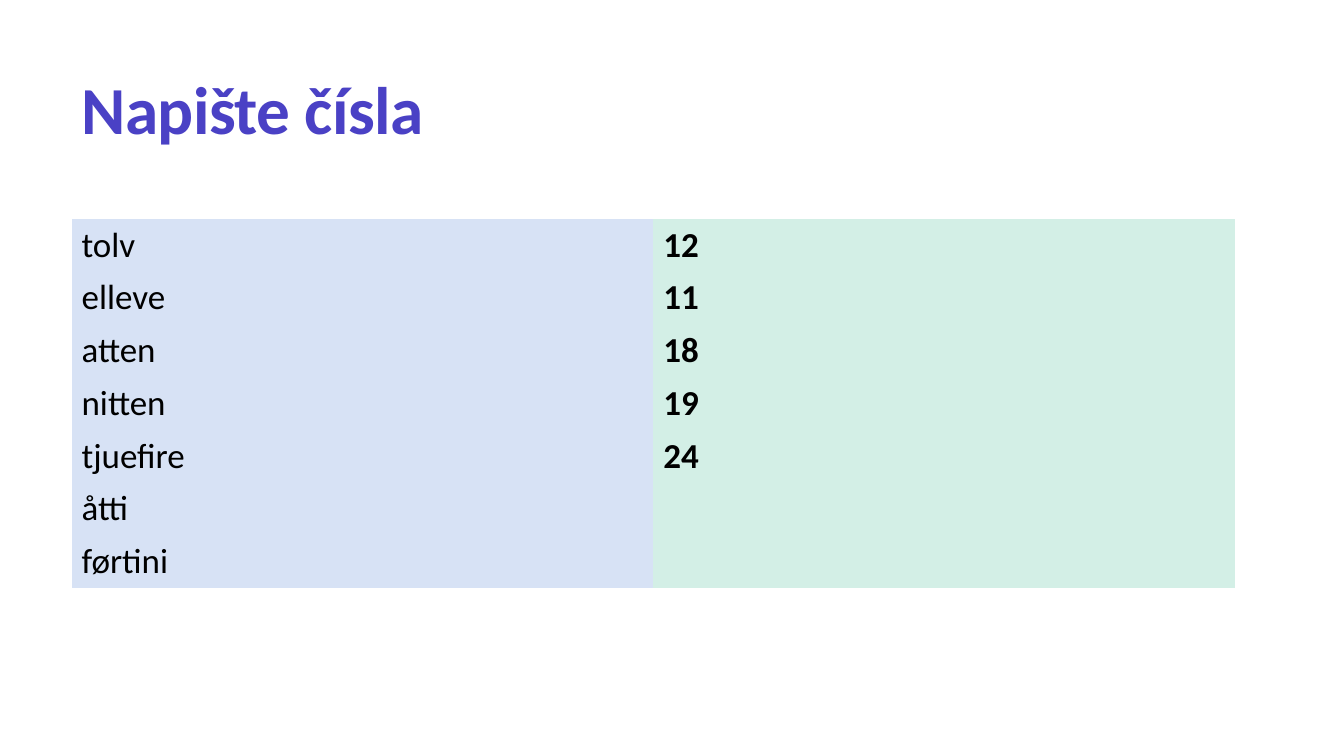
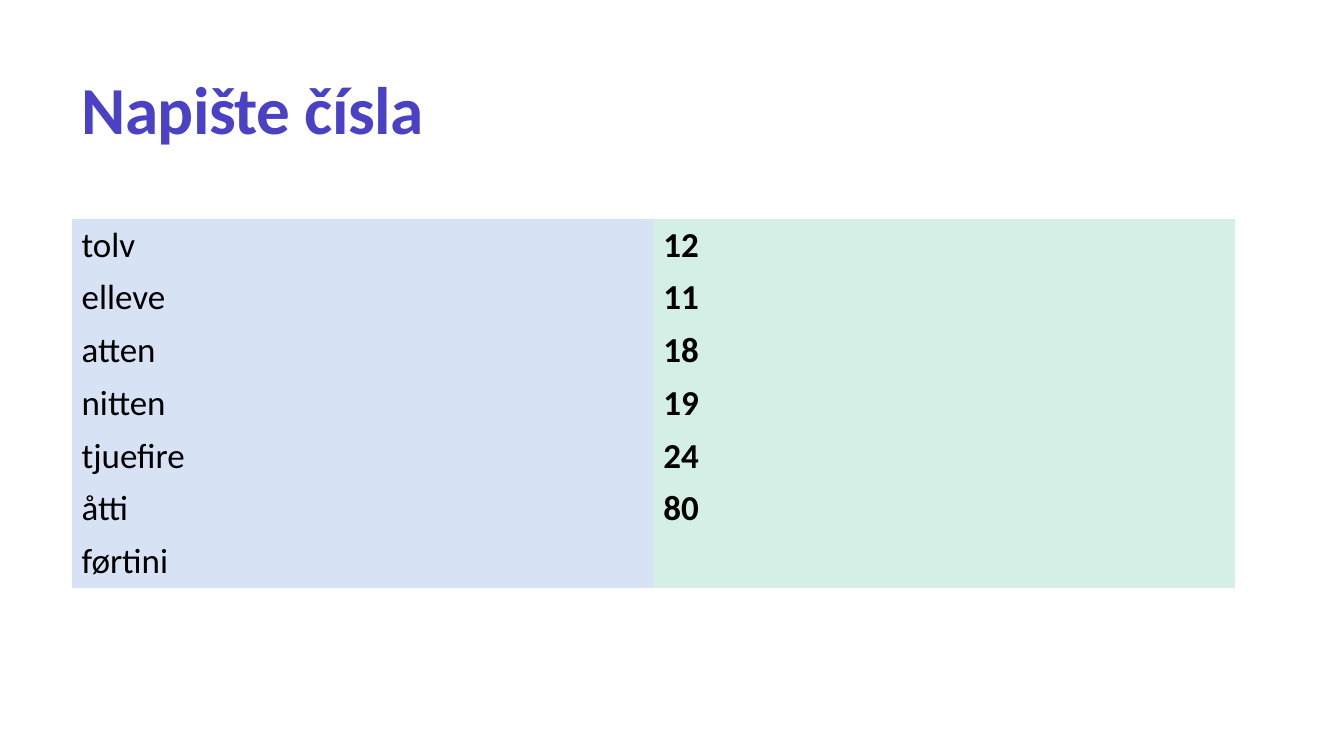
from dataclasses import dataclass
from typing import Any

from pptx import Presentation
from pptx import util as u
from pptx.dml.color import RGBColor
from pptx.enum import text
from pptx.oxml.ns import qn

PX = 9144  # EMU per px, 100 px to the inch

INDIGO = RGBColor(0x4A, 0x41, 0xC5)
BLACK = RGBColor(0x00, 0x00, 0x00)
PALE_BLUE = RGBColor(0xD7, 0xE2, 0xF5)
PALE_GREEN = RGBColor(0xD3, 0xEF, 0xE6)

FONT = "Calibri"
TITLE_FONT = {"name": FONT, "size": u.Pt(48), "bold": True}
WORD_FONT = {"name": FONT, "size": u.Pt(25), "bold": False}
NUMBER_FONT = WORD_FONT | {"bold": True}
TITLE_FRAME = {
    "vertical_anchor": text.MSO_ANCHOR.BOTTOM,
    "auto_size": text.MSO_AUTO_SIZE.NONE,
    "word_wrap": True,
}
PLAIN_TABLE_STYLE = "{2D5ABB26-0587-4C30-8999-92F81FD0307C}"

LEFT, WIDTH = 71, 1154
TITLE_TOP, TITLE_HEIGHT = 40, 113
TABLE_TOP, ROW_HEIGHT = 217, 52


@dataclass(frozen=True)
class Exercise:
    title: str
    words: tuple[str, ...]
    answers: tuple[str, ...]

    def rows(self) -> list[tuple[str, str]]:
        """Pair each word with its answer, leaving unsolved ones empty."""
        missing = len(self.words) - len(self.answers)
        return list(zip(self.words, self.answers + ("",) * missing))


WORDS = ("tolv", "elleve", "atten", "nitten", "tjuefire", "åtti", "førtini")
ANSWERS = ("12", "11", "18", "19", "24", "80")
EXERCISES = [Exercise("Napište čísla", WORDS, ANSWERS[:solved]) for solved in (5, 6)]


def px(*lengths: int) -> list[u.Emu]:
    return [u.Emu(length * PX) for length in lengths]


def set_all(target: Any, values: dict[str, Any]) -> None:
    for name, value in values.items():
        setattr(target, name, value)


def add_run(p: Any, content: str, font: dict[str, Any], color: RGBColor) -> Any:
    r = p.add_run()
    r.text = content
    set_all(r.font, font)
    r.font.color.rgb = color
    return r


def format_title(title: Any, content: str) -> None:
    title.left, title.top, title.width, title.height = px(
        LEFT, TITLE_TOP, WIDTH, TITLE_HEIGHT
    )
    tf = title.text_frame
    set_all(tf, TITLE_FRAME)
    p = tf.paragraphs[0]
    set_all(p, {"alignment": text.PP_ALIGN.LEFT, "line_spacing": 0.9})
    r = add_run(p, content, TITLE_FONT, INDIGO)
    r.font._element.set("spc", "-40")


def add_answer_table(s: Any, rows: list[tuple[str, str]]) -> None:
    columns = ((WORD_FONT, PALE_BLUE), (NUMBER_FONT, PALE_GREEN))
    frame = s.shapes.add_table(
        len(rows), len(columns), *px(LEFT, TABLE_TOP, WIDTH, ROW_HEIGHT * len(rows))
    )
    table = frame.table
    set_all(table, {"first_row": False, "horz_banding": False})
    for style in frame.element.iter(qn("a:tableStyleId")):
        style.text = PLAIN_TABLE_STYLE
    for i, row in enumerate(rows):
        for j, (content, (font, fill)) in enumerate(zip(row, columns)):
            cell = table.cell(i, j)
            cell.fill.solid()
            cell.fill.fore_color.rgb = fill
            if content:
                add_run(cell.text_frame.paragraphs[0], content, font, BLACK)


def main() -> None:
    prs = Presentation()
    prs.slide_width, prs.slide_height = px(1333, 750)
    title_only = prs.slide_layouts.get_by_name("Title Only")
    for exercise in EXERCISES:
        s = prs.slides.add_slide(title_only)
        format_title(s.shapes.title, exercise.title)
        add_answer_table(s, exercise.rows())
    prs.save("out.pptx")


if __name__ == "__main__":
    main()
